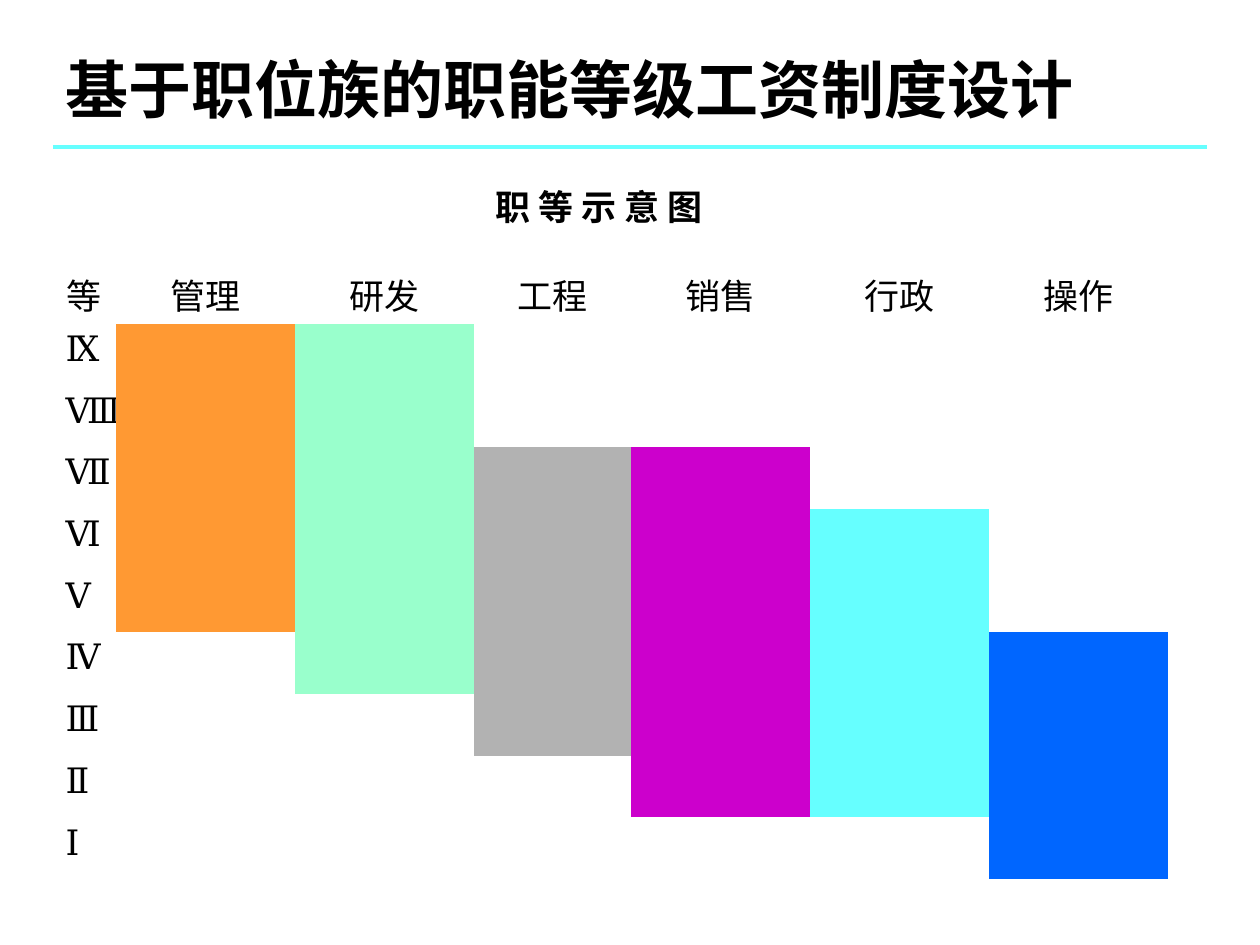
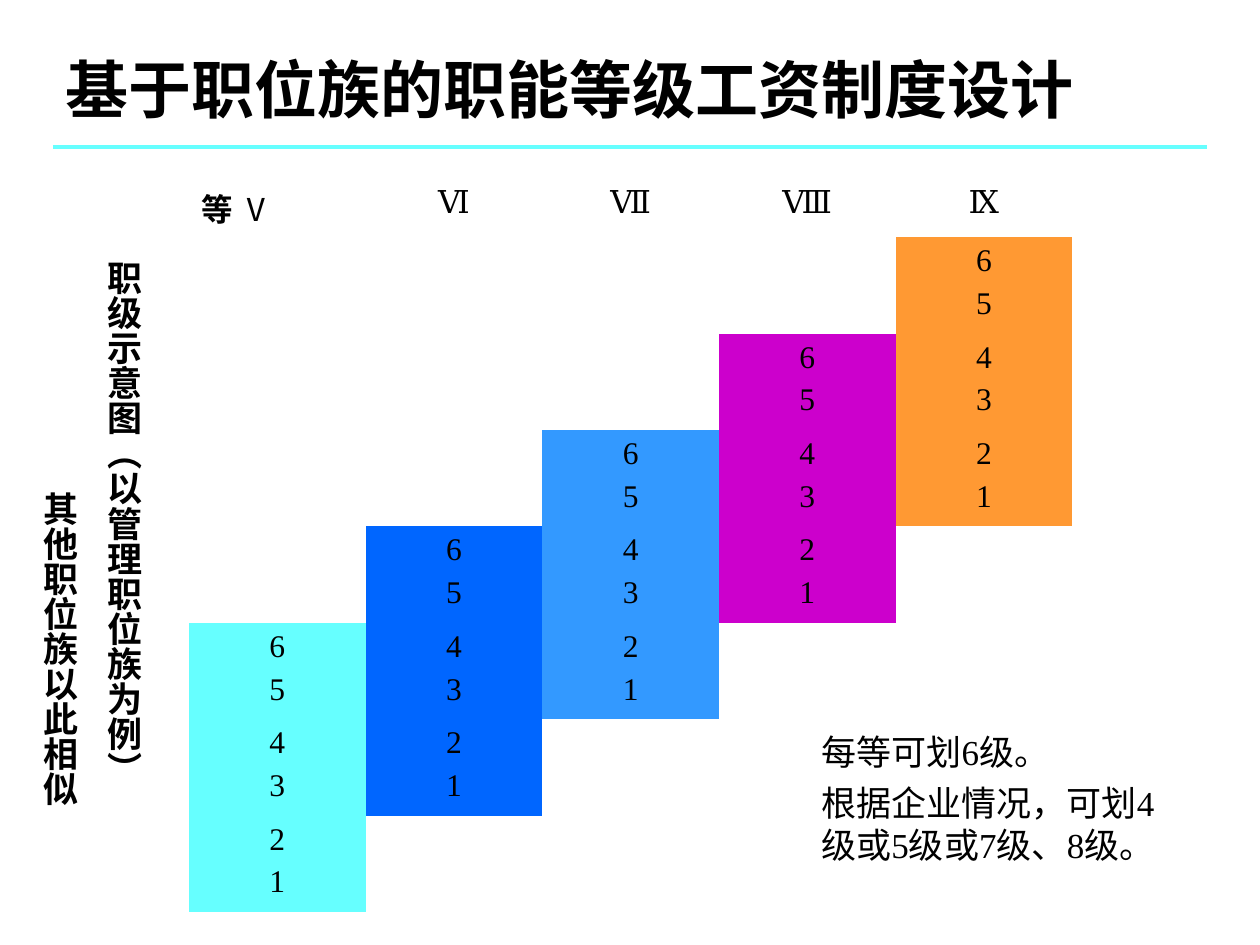
from dataclasses import dataclass
from typing import Any

from lxml.etree import SubElement
from pptx import Presentation
from pptx.dml.color import RGBColor
from pptx.enum.text import MSO_ANCHOR, MSO_AUTO_SIZE, PP_ALIGN
from pptx.enum.shapes import MSO_CONNECTOR
from pptx.oxml.ns import qn
from pptx.util import Inches, Pt

BLACK = RGBColor(0x00, 0x00, 0x00)
CYAN = RGBColor(0x66, 0xFF, 0xFF)
ORANGE = RGBColor(0xFF, 0x99, 0x33)
MINT = RGBColor(0x99, 0xFF, 0xCC)
GRAY = RGBColor(0xB2, 0xB2, 0xB2)
MAGENTA = RGBColor(0xCC, 0x00, 0xCC)
BLUE = RGBColor(0x00, 0x66, 0xFF)
SKY = RGBColor(0x33, 0x99, 0xFF)

FONT = "Times New Roman"
TITLE = "基于职位族的职能等级工资制度设计"
PLAIN_TABLE = "{2D5ABB26-0587-4C30-8999-92F81FD0307C}"
GRADES = "ⅨⅧⅦⅥⅤⅣⅢⅡⅠ"
STEPS_PER_ROW = 2
ROWS_PER_GRADE = 3


@dataclass(frozen=True)
class JobFamily:
    name: str
    width: float
    top_grade: str
    bottom_grade: str
    color: RGBColor


@dataclass(frozen=True)
class StepGrade:
    name: str
    color: RGBColor


@dataclass(frozen=True)
class TextStyle:
    size: float
    bold: bool = False
    align: PP_ALIGN = PP_ALIGN.LEFT
    gap: float = 0


FAMILIES = (
    JobFamily("管理", 1.42, "Ⅸ", "Ⅴ", ORANGE),
    JobFamily("研发", 1.42, "Ⅸ", "Ⅳ", MINT),
    JobFamily("工程", 1.25, "Ⅶ", "Ⅲ", GRAY),
    JobFamily("销售", 1.42, "Ⅶ", "Ⅱ", MAGENTA),
    JobFamily("行政", 1.42, "Ⅵ", "Ⅱ", CYAN),
    JobFamily("操作", 1.42, "Ⅳ", "Ⅰ", BLUE),
)
STEP_GRADES = (
    StepGrade("Ⅴ", CYAN),
    StepGrade("Ⅵ", BLUE),
    StepGrade("Ⅶ", SKY),
    StepGrade("Ⅷ", MAGENTA),
    StepGrade("Ⅸ", ORANGE),
)

HEADING = TextStyle(36, bold=True)
CAPTION = TextStyle(20, bold=True, align=PP_ALIGN.CENTER)
SIDE_CAPTION = TextStyle(20, bold=True, gap=12.5)
FAMILY_NAME = TextStyle(20, align=PP_ALIGN.CENTER)
GRADE_NAME = TextStyle(20)
NOTE = TextStyle(20, gap=5)
STEP = TextStyle(18, align=PP_ALIGN.CENTER, gap=4.5)
STEP_HEADER = TextStyle(18)


def format_font(font: Any, style: TextStyle) -> None:
    values = {"name": FONT, "size": Pt(style.size), "bold": style.bold}
    for attribute, value in values.items():
        setattr(font, attribute, value)
    font.color.rgb = BLACK


def write(frame: Any, lines: list[str], style: TextStyle) -> None:
    for index, line in enumerate(lines):
        paragraph = frame.paragraphs[0] if index == 0 else frame.add_paragraph()
        paragraph.alignment = style.align
        if index:
            paragraph.space_before = Pt(style.gap)
        run = paragraph.add_run()
        run.text = line
        format_font(run.font, style)


def add_text(slide: Any, place: tuple, lines: list[str], style: TextStyle) -> Any:
    frame = slide.shapes.add_textbox(*map(Inches, place)).text_frame
    frame.word_wrap = True
    write(frame, lines, style)
    return frame


def add_titled_slide(deck: Any) -> Any:
    slide = deck.slides.add_slide(deck.slide_layouts[5])
    heading = slide.shapes.title
    place = {"left": 0.42, "top": 0.33, "width": 9.17, "height": 0.75}
    for attribute, value in place.items():
        setattr(heading, attribute, Inches(value))
    heading.text_frame.auto_size = MSO_AUTO_SIZE.NONE
    heading.text_frame.vertical_anchor = MSO_ANCHOR.MIDDLE
    write(heading.text_frame, [TITLE], HEADING)
    rule = slide.shapes.add_connector(
        MSO_CONNECTOR.STRAIGHT, Inches(0.42), Inches(1.17), Inches(9.58), Inches(1.17)
    )
    rule.line.color.rgb = CYAN
    rule.line.width = Pt(2.25)
    SubElement(rule.element.spPr, qn("a:effectLst"))
    return slide


def add_plain_table(
    slide: Any, left: float, top: float, widths: list[int], heights: list[int]
) -> Any:
    table = slide.shapes.add_table(
        len(heights), len(widths), Inches(left), Inches(top), sum(widths), sum(heights)
    ).table
    for attribute in ("first_row", "horz_banding"):
        setattr(table, attribute, False)
    for style_id in table._tbl.tblPr.iter(qn("a:tableStyleId")):
        style_id.text = PLAIN_TABLE
    for column, width in zip(table.columns, widths):
        column.width = width
    for row, height in zip(table.rows, heights):
        row.height = height
    for cell in table.iter_cells():
        cell.fill.background()
    return table


def paint(cell: Any, color: RGBColor) -> None:
    cell.fill.solid()
    cell.fill.fore_color.rgb = color


def build_grade_slide(deck: Any) -> None:
    slide = add_titled_slide(deck)
    add_text(slide, (2.92, 1.42, 3.67, 0.44), ["职 等 示 意 图"], CAPTION)
    widths = [Inches(0.5)] + [Inches(family.width) for family in FAMILIES]
    heights = [Inches(0.49)] * (len(GRADES) + 1)
    table = add_plain_table(slide, 0.42, 2.08, widths, heights)
    write(table.cell(0, 0).text_frame, ["等"], FAMILY_NAME)
    for row, grade in enumerate(GRADES, 1):
        write(table.cell(row, 0).text_frame, [grade], GRADE_NAME)
    for column, family in enumerate(FAMILIES, 1):
        write(table.cell(0, column).text_frame, [family.name], FAMILY_NAME)
        first = GRADES.index(family.top_grade) + 1
        last = GRADES.index(family.bottom_grade) + 1
        for row in range(first, last + 1):
            paint(table.cell(row, column), family.color)


def build_step_slide(deck: Any) -> None:
    slide = add_titled_slide(deck)
    count = len(STEP_GRADES)
    row_count = count + ROWS_PER_GRADE - 1
    widths = [Inches(7.01) // count] * count
    heights = [Inches(0.4)] + [Inches(5.36) // row_count] * row_count
    table = add_plain_table(slide, 1.5, 1.42, widths, heights)
    for column, grade in enumerate(STEP_GRADES):
        header = table.cell(0, column).text_frame
        if column == 0:
            write(header, ["等"], STEP_HEADER)
            header.paragraphs[0].runs[0].font.bold = True
            numeral = header.paragraphs[0].add_run()
            numeral.text = f" {grade.name}"
            format_font(numeral.font, STEP_HEADER)
        else:
            write(header, [grade.name], STEP)
        for offset in range(ROWS_PER_GRADE):
            cell = table.cell(count - column + offset, column)
            upper = STEPS_PER_ROW * (ROWS_PER_GRADE - offset)
            write(cell.text_frame, [str(upper), str(upper - 1)], STEP)
            paint(cell, grade.color)

    add_text(
        slide,
        (6.42, 5.75, 3.08, 1.17),
        ["每等可划6级。", "根据企业情况，可划4级或5级或7级、8级。"],
        NOTE,
    )
    side = add_text(
        slide,
        (0.16, 1.75, 1.04, 5),
        ["职级示意图（以管理职位族为例）", "其他职位族以此相似"],
        SIDE_CAPTION,
    )
    margins = {"left": 0.05, "right": 0.05, "top": 0.32, "bottom": 0.1}
    for edge, value in margins.items():
        setattr(side, f"margin_{edge}", Inches(value))
    side._txBody.bodyPr.set("vert", "eaVert")
    side.paragraphs[1]._p.get_or_add_pPr().set("marL", str(Inches(1.83)))


def main() -> None:
    deck = Presentation()
    deck.slide_width = Inches(10)
    deck.slide_height = Inches(7.5)
    build_grade_slide(deck)
    build_step_slide(deck)
    deck.save("out.pptx")


if __name__ == "__main__":
    main()
